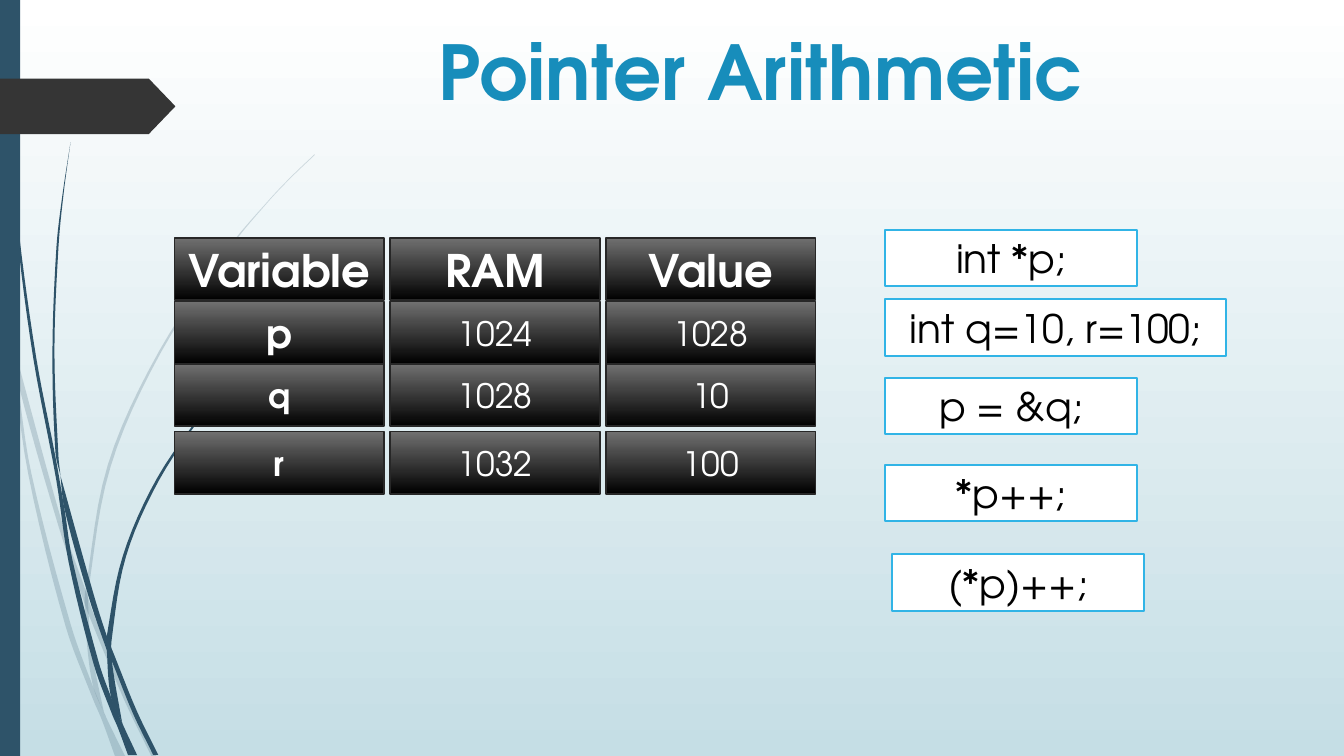
from dataclasses import dataclass

from lxml.etree import SubElement
from pptx import Presentation
from pptx.dml.color import RGBColor
from pptx.enum.shapes import MSO_SHAPE
from pptx.enum.text import MSO_ANCHOR, PP_ALIGN
from pptx.oxml.ns import qn
from pptx.util import Pt

PX = 9144  # 100 px to the inch
STEPS = 6  # line segments between two points of a stalk edge


@dataclass(frozen=True)
class Theme:
    font: str = "TeX Gyre Adventor"
    navy: str = "2E5369"
    charcoal: str = "353535"
    title: str = "178DBB"
    sky: str = "31B4E6"
    white: str = "FFFFFF"
    black: str = "000000"
    grey: str = "707070"
    cell_line: str = "272727"
    mist: str = "C5DEE5"
    title_size: int = 54
    head_size: int = 32
    code_size: int = 28
    cell_size: int = 24
    line_width: float = 1.25
    pale_alpha: int = 20


THEME = Theme()

# Each stalk is a left edge and a right edge, from top to bottom.
PALE_STALKS = [
    ([(0, 299), (10, 344), (28, 470), (65, 621), (92, 693), (101, 714), (114, 750)],
     [(0, 282), (9, 322), (17, 376), (31, 469), (70, 619), (93, 683), (105, 711),
      (124, 750)]),
    ([(14, 345), (17, 376), (58, 522), (84, 599), (88, 610), (123, 694), (150, 750)],
     [(14, 345), (62, 520), (85, 586), (92, 607), (127, 692), (155, 750)]),
    ([(312, 153), (289, 175), (268, 197), (228, 244), (158, 348), (107, 461),
      (85, 584), (84, 599), (87, 646), (93, 683), (105, 711)],
     [(312, 154), (290, 175), (268, 198), (229, 245), (160, 349), (110, 462),
      (88, 584), (88, 610), (91, 646), (103, 706), (105, 711)]),
]
DARK_STALKS = [
    ([(3, 0), (4, 48), (7, 110), (17, 233), (33, 355), (56, 477), (68, 557),
      (93, 659), (111, 708), (117, 722), (127, 749)],
     [(4, 0), (5, 48), (8, 109), (19, 232), (36, 355), (55, 453), (64, 505),
      (72, 556), (98, 657), (110, 691), (122, 719), (136, 749)]),
    ([(60, 472), (64, 505), (88, 592), (106, 645), (111, 656), (132, 708), (152, 749)],
     [(60, 472), (93, 590), (106, 631), (113, 649), (136, 706), (157, 749)]),
    ([(70, 141), (62, 193), (56, 245), (52, 349), (55, 449), (60, 472)],
     [(70, 141), (63, 193), (58, 245), (54, 349), (58, 453), (60, 472)]),
    ([(260, 344), (245, 358), (231, 373), (204, 405), (156, 474), (122, 551),
      (106, 631), (106, 645), (110, 691), (122, 719)],
     [(260, 344), (245, 359), (231, 374), (205, 406), (158, 476), (125, 552),
      (111, 633), (111, 656), (121, 716), (122, 719)]),
]


def rgb(color):
    return RGBColor.from_string(color)


def paint_solid(sp, color, alpha=100):
    sp.shadow.inherit = False
    sp.line.fill.background()
    sp.fill.solid()
    sp.fill.fore_color.rgb = rgb(color)
    if alpha < 100:
        clr = sp._element.spPr.find(qn("a:solidFill"))[0]
        SubElement(clr, qn("a:alpha")).set("val", str(alpha * 1000))


def paint_gradient(fill, top, bottom):
    fill.gradient()
    fill.gradient_angle = 270
    for stop, color, position in zip(fill.gradient_stops, (top, bottom), (0, 1)):
        stop.color.rgb = rgb(color)
        stop.position = position


def outline(sp, color):
    sp.line.color.rgb = rgb(color)
    sp.line.width = Pt(THEME.line_width)


def write(sp, text, size, color, bold=False, anchor=MSO_ANCHOR.MIDDLE):
    tf = sp.text_frame
    tf.word_wrap = True
    tf.vertical_anchor = anchor
    p = tf.paragraphs[0]
    p.alignment = PP_ALIGN.CENTER
    r = p.add_run()
    r.text = text
    r.font.name = THEME.font
    r.font.size = Pt(size)
    r.font.bold = bold
    r.font.color.rgb = rgb(color)


def add_box(slide, x, y, w, h, kind=MSO_SHAPE.RECTANGLE):
    return slide.shapes.add_shape(kind, x * PX, y * PX, w * PX, h * PX)


def smooth(edge):
    """Cubic curve through the points, with x as a function of y."""
    last = len(edge) - 1
    slopes = []
    for i in range(last + 1):
        (x0, y0), (x1, y1) = edge[max(i - 1, 0)], edge[min(i + 1, last)]
        slopes.append((x1 - x0) / (y1 - y0))
    points = [edge[0]]
    for i, ((x0, y0), (x1, y1)) in enumerate(zip(edge, edge[1:])):
        h = y1 - y0
        for step in range(1, STEPS + 1):
            t = step / STEPS
            x = ((1 + 2 * t) * (1 - t) ** 2 * x0 + t * (1 - t) ** 2 * h * slopes[i]
                 + t * t * (3 - 2 * t) * x1 + t * t * (t - 1) * h * slopes[i + 1])
            points.append((x, y0 + t * h))
    return points


def add_stalks(slide, stalks, x, y, alpha=100):
    for left, right in stalks:
        points = [((x + px) * PX, (y + py) * PX)
                  for px, py in smooth(left) + smooth(right)[::-1]]
        builder = slide.shapes.build_freeform(*points[0])
        builder.add_line_segments(points[1:], close=True)
        paint_solid(builder.convert_to_shape(), THEME.navy, alpha)


def add_backdrop(slide, x, y, h):
    paint_gradient(slide.background.fill, THEME.white, THEME.mist)
    add_stalks(slide, PALE_STALKS, x, y, THEME.pale_alpha)
    add_stalks(slide, DARK_STALKS, x, y)
    paint_solid(add_box(slide, x, y, 20, h), THEME.navy)
    tag = add_box(slide, x, y + 78, 174, 55, MSO_SHAPE.PENTAGON)
    tag.adjustments[0] = 0.48
    paint_solid(tag, THEME.charcoal)


def add_title(slide, text, x, y, w, h):
    sp = slide.shapes.add_textbox(x * PX, y * PX, w * PX, h * PX)
    write(sp, text, THEME.title_size, THEME.title, True, MSO_ANCHOR.TOP)


def add_memory_grid(slide, x, y):
    rows = [
        (0, THEME.head_size, ("Variable", "RAM", "Value")),
        (63, THEME.code_size, ("p", "1024", "1028")),
        (125, THEME.cell_size, ("q", "1028", "10")),
        (192, THEME.cell_size, ("r", "1032", "100")),
    ]
    for top, name_size, texts in rows:
        for col, text in enumerate(texts):
            sp = add_box(slide, x + col * 214, y + top, 208, 62)
            sp.shadow.inherit = False
            paint_gradient(sp.fill, THEME.grey, THEME.black)
            outline(sp, THEME.cell_line)
            emphasised = top == 0 or col == 0
            size = name_size if emphasised else THEME.cell_size
            write(sp, text, size, THEME.white, emphasised)


def add_code_boxes(slide, x, y):
    statements = [
        ("int *p;", 0, 0, 250),
        ("int q=10, r=100;", 0, 69, 338),
        ("p = &q;", 0, 147, 250),
        ("*p++;", 0, 233, 250),
        ("(*p)++;", 7, 322, 250),
    ]
    for code, dx, dy, w in statements:
        sp = add_box(slide, x + dx, y + dy, w, 56)
        paint_solid(sp, THEME.white)
        outline(sp, THEME.sky)
        write(sp, code, THEME.code_size, THEME.black)


def main():
    prs = Presentation()
    prs.slide_width, prs.slide_height = 1333 * PX, 750 * PX
    slide = prs.slides.add_slide(prs.slide_layouts[6])
    add_backdrop(slide, 0, 0, 750)
    add_title(slide, "Pointer Arithmetic", 197, 20, 1115, 118)
    add_memory_grid(slide, 173, 236)
    add_code_boxes(slide, 878, 228)
    prs.save("out.pptx")


if __name__ == "__main__":
    main()
